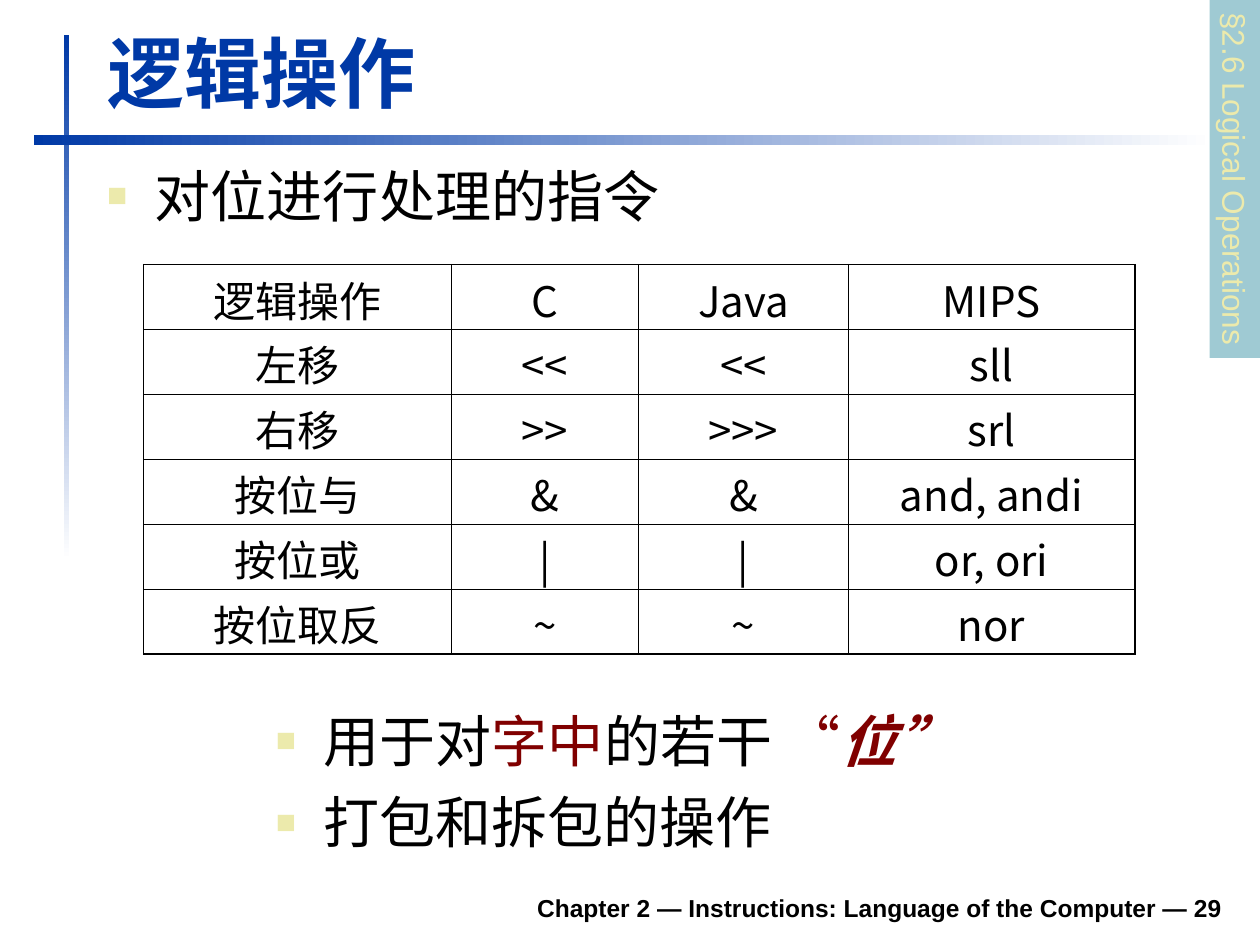
from lxml import etree
from pptx import Presentation
from pptx.dml.color import RGBColor
from pptx.enum import shapes, text
from pptx.oxml import ns
from pptx.util import Inches, Pt

BLUE = RGBColor(0x00, 0x39, 0xA6)
WHITE = RGBColor(0xFF, 0xFF, 0xFF)
BLACK = RGBColor(0x00, 0x00, 0x00)
CREAM = RGBColor(0xEC, 0xEA, 0xAC)
TEAL = RGBColor(0x9F, 0xCA, 0xD3)
RED = RGBColor(0x80, 0x00, 0x00)

TITLE = {"name": "Arial", "size": Pt(44), "bold": True}
BODY = {"name": "Arial", "size": Pt(32), "bold": False}
CELL = {"name": "Noto Sans CJK SC", "size": Pt(24), "bold": False}
FOOT = {"name": "Arial", "size": Pt(14), "bold": True}
TAB = {"name": "Arial", "size": Pt(18), "bold": False}

COLS = [2.44, 1.49, 1.66, 2.28]
ROWS = [
    ["逻辑操作", "C", "Java", "MIPS"],
    ["左移", "<<", "<<", "sll"],
    ["右移", ">>", ">>>", "srl"],
    ["按位与", "&", "&", "and, andi"],
    ["按位或", "|", "|", "or, ori"],
    ["按位取反", "~", "~", "nor"],
]
THICK, MID, THIN = 1.08, 0.75, 0.45


def child(node, tag, **attrs):
    return etree.SubElement(node, ns.qn(tag), attrs)


def place(shape, *at):
    for name, num in zip(("left", "top", "width", "height"), at):
        setattr(shape, name, Inches(num))


def add_run(para, words, form, color=BLACK, **extra):
    run = para.add_run()
    run.text = words
    for key, val in {**form, **extra}.items():
        setattr(run.font, key, val)
    run.font.color.rgb = color


def add_bar(slide, at, angle):
    bar = slide.shapes.add_shape(shapes.MSO_SHAPE.RECTANGLE, *map(Inches, at))
    bar.shadow.inherit = False
    bar.line.fill.background()
    bar.fill.gradient()
    bar.fill.gradient_angle = angle
    for stop, color in zip(bar.fill.gradient_stops, (BLUE, WHITE)):
        stop.color.rgb = color


def add_title(slide):
    title = slide.shapes.title
    place(title, 0.75, 0.16, 9.03, 0.83)
    frame = title.text_frame
    frame.vertical_anchor = text.MSO_ANCHOR.BOTTOM
    para = frame.paragraphs[0]
    para.alignment = text.PP_ALIGN.LEFT
    add_run(para, "逻辑操作", TITLE, BLUE)


def fill_list(frame, items):
    """Write each item, a list of (words, colour, extra format), as a bullet."""
    frame.word_wrap = True
    for idx, item in enumerate(items):
        para = frame.add_paragraph() if idx else frame.paragraphs[0]
        props = para._p.get_or_add_pPr()
        props.set("marL", str(Inches(0.38)))
        props.set("indent", str(-Inches(0.38)))
        child(child(props, "a:buClr"), "a:srgbClr", val=str(CREAM))
        child(props, "a:buSzPct", val="60000")
        child(props, "a:buFont", typeface="Arial")
        child(props, "a:buChar", char="■")
        para.space_before = Pt(8 if idx else 0)
        for words, color, extra in item:
            add_run(para, words, BODY, color, **extra)


def set_edges(cell, row, col):
    last_row, last_col = len(ROWS) - 1, len(COLS) - 1
    edges = {
        "a:lnL": THICK if col == 0 else THIN,
        "a:lnR": THICK if col == last_col else THIN,
        "a:lnT": {0: THICK, 1: MID}.get(row, THIN),
        "a:lnB": {0: MID, last_row: THICK}.get(row, THIN),
    }
    props = cell._tc.get_or_add_tcPr()
    for tag, width in edges.items():
        line = child(props, tag, w=str(Pt(width)))
        child(child(line, "a:solidFill"), "a:srgbClr", val=str(BLACK))


def add_grid(slide):
    at = map(Inches, (1.14, 2.1, sum(COLS), 3.09))
    table = slide.shapes.add_table(len(ROWS), len(COLS), *at).table
    table.first_row = table.horz_banding = False
    for col, width in zip(table.columns, COLS):
        col.width = Inches(width)
    for r, row in enumerate(ROWS):
        for c, words in enumerate(row):
            cell = table.cell(r, c)
            set_edges(cell, r, c)
            cell.fill.background()
            cell.margin_top, cell.margin_bottom = Inches(0.03), 0
            para = cell.text_frame.paragraphs[0]
            para.alignment = text.PP_ALIGN.CENTER
            add_run(para, words, CELL)


def add_box(slide, *at):
    return slide.shapes.add_textbox(*map(Inches, at)).text_frame


def add_foot(slide):
    frame = add_box(slide, 1.85, 6.98, 7.95, 0.39)
    frame.word_wrap = True
    frame.vertical_anchor = text.MSO_ANCHOR.BOTTOM
    para = frame.paragraphs[0]
    para.alignment = text.PP_ALIGN.RIGHT
    add_run(para, "Chapter 2 — Instructions: Language of the Computer — 29", FOOT)


def add_tab(slide):
    at = map(Inches, (8.38, 1.22, 2.84, 0.4))
    tab = slide.shapes.add_shape(shapes.MSO_SHAPE.RECTANGLE, *at)
    tab.rotation = 90
    tab.shadow.inherit = False
    tab.line.fill.background()
    tab.fill.solid()
    tab.fill.fore_color.rgb = TEAL
    frame = tab.text_frame
    frame.word_wrap = False
    frame.vertical_anchor = text.MSO_ANCHOR.TOP
    para = frame.paragraphs[0]
    para.alignment = text.PP_ALIGN.LEFT
    add_run(para, "§2.6 Logical Operations", TAB, CREAM)


def main():
    deck = Presentation()
    deck.slide_width, deck.slide_height = Inches(10), Inches(7.5)
    slide = deck.slides.add_slide(deck.slide_layouts[1])

    # Crossed rules behind the title
    add_bar(slide, (0.51, 0.28, 0.04, 4.17), 270)
    add_bar(slide, (0.27, 1.07, 9.37, 0.08), 0)

    # Title and opening point
    add_title(slide)
    body = slide.placeholders[1]
    place(body, 0.75, 1.23, 9.04, 0.76)
    fill_list(body.text_frame, [[("对位进行处理的指令", BLACK, {})]])

    # Operators by language
    add_grid(slide)

    # Closing points
    fill_list(add_box(slide, 2.09, 5.56, 5.75, 1.18), [
        [("用于对", BLACK, {}), ("字中", RED, {}), ("的若干", BLACK, {}),
         (" “", RED, {}), ("位”", RED, {"bold": True, "italic": True})],
        [("打包和拆包的操作", BLACK, {})],
    ])

    # Footer and section tab
    add_foot(slide)
    add_tab(slide)
    deck.save("out.pptx")


if __name__ == "__main__":
    main()
